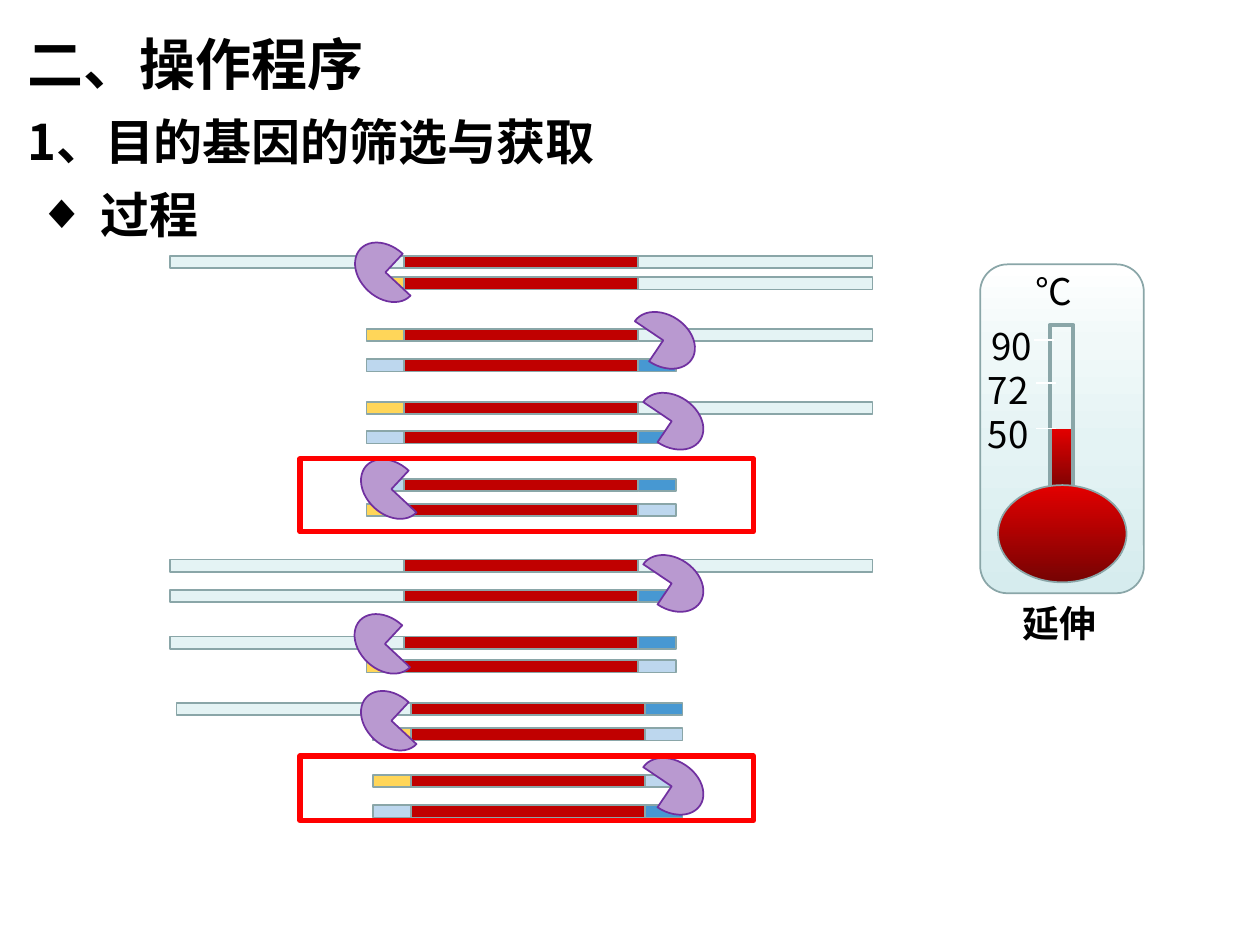
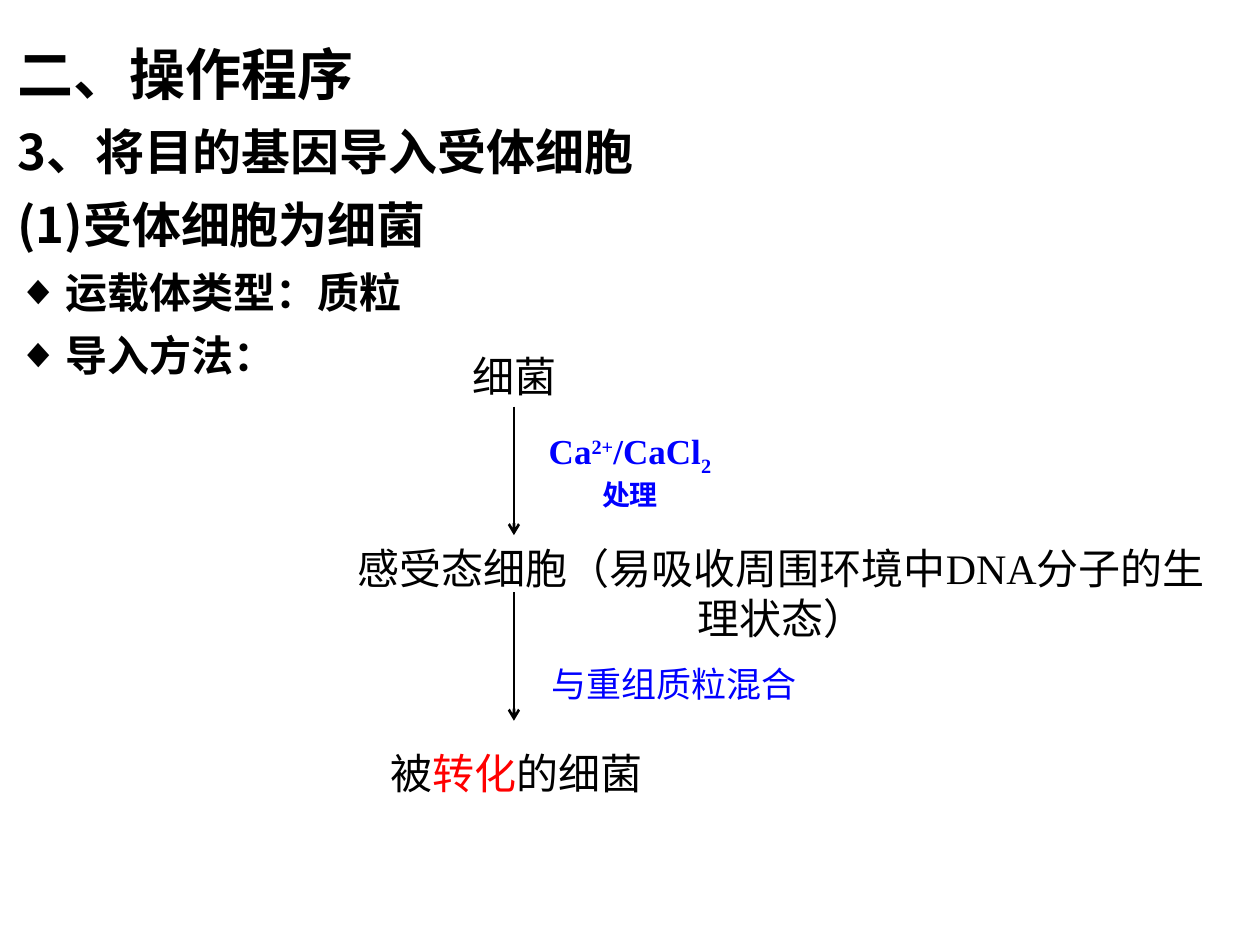
from lxml import etree
from pptx import Presentation
from pptx.dml.color import RGBColor
from pptx.enum.shapes import MSO_CONNECTOR as CONN, MSO_SHAPE as SHAPE
from pptx.enum.text import PP_ALIGN as ALIGN
from pptx.oxml.ns import qn
from pptx.util import Cm, Pt

BLACK = RGBColor(0, 0, 0)
WHITE = RGBColor(255, 255, 255)
RED = RGBColor(255, 0, 0)
BLUE = RGBColor(0, 0, 255)
GENE = RGBColor(0xC0, 0, 0)
PALE = RGBColor(0xE4, 0xF3, 0xF4)
YELLOW = RGBColor(0xFF, 0xD6, 0x59)
SKY = RGBColor(0xBD, 0xD7, 0xEE)
AZURE = RGBColor(0x47, 0x98, 0xD2)
OUTLINE = RGBColor(0x8A, 0xA6, 0xA8)
ENZYME = RGBColor(0xB9, 0x99, 0xD0)
PURPLE = RGBColor(0x70, 0x30, 0xA0)
GLASS = [(0, WHITE), (24, RGBColor(0xF1, 0xF9, 0xF9)), (55, PALE), (100, RGBColor(0xD6, 0xEC, 0xEE))]
MERCURY = [(0, RGBColor(0xE3, 0, 0)), (100, RGBColor(0x76, 0x03, 0x03))]

SANS = "Noto Sans CJK SC"
SERIF = "Times New Roman"
SECTION = "二、操作程序"
GENE_X, GENE_W, END_W, BAR_H = 8.15, 4.72, 0.76, 0.25


def sub(parent, tag, **attrs):
    return etree.SubElement(parent, qn(tag), **attrs)


class Deck:
    def __init__(self):
        self.prs = Presentation()
        self.prs.slide_width, self.prs.slide_height = Cm(25.4), Cm(19.05)
        self.slide = None

    def new_slide(self):
        self.slide = self.prs.slides.add_slide(self.prs.slide_layouts[6])

    def shape(self, kind, x, y, w, h, fill=None, line=OUTLINE, width=1, rotation=0):
        sp = self.slide.shapes.add_shape(kind, Cm(x), Cm(y), Cm(w), Cm(h))
        sp.shadow.inherit = False
        sp.rotation = rotation
        if fill is None:
            sp.fill.background()
        elif isinstance(fill, list):
            self.gradient(sp, fill)
        else:
            sp.fill.solid()
            sp.fill.fore_color.rgb = fill
        if line is None:
            sp.line.fill.background()
        else:
            sp.line.color.rgb = line
            sp.line.width = Pt(width)

    def gradient(self, sp, stops):
        sp.fill.gradient()
        sp.fill.gradient_angle = 270
        stop_list = sp._element.spPr.find(qn("a:gradFill")).find(qn("a:gsLst"))
        for old in list(stop_list):
            stop_list.remove(old)
        for percent, color in stops:
            stop = sub(stop_list, "a:gs", pos=str(percent * 1000))
            sub(stop, "a:srgbClr", val=str(color))

    def line(self, x1, y1, x2, y2, color, width, arrow=False):
        c = self.slide.shapes.add_connector(CONN.STRAIGHT, Cm(x1), Cm(y1), Cm(x2), Cm(y2))
        c.line.color.rgb = color
        c.line.width = Pt(width)
        if arrow:
            sub(c.line._get_or_add_ln(), "a:tailEnd", type="arrow")
        sub(c._element.spPr, "a:effectLst")

    def text(self, x, y, w, h, lines, sizes, font=SANS, color=BLACK, bold=False,
             align=ALIGN.LEFT, spacing=None, inset=(0.25, 0.13), bullets_from=None, indent=0.97):
        tf = self.slide.shapes.add_textbox(Cm(x), Cm(y), Cm(w), Cm(h)).text_frame
        tf.word_wrap = True
        tf.margin_left = tf.margin_right = Cm(inset[0])
        tf.margin_top = tf.margin_bottom = Cm(inset[1])
        for i, (parts, size) in enumerate(zip(lines, sizes)):
            p = tf.paragraphs[0] if i == 0 else tf.add_paragraph()
            if isinstance(parts, str):
                p.text = parts
            else:
                for part in parts:
                    p.add_run().text = part
            p.alignment = align
            if spacing:
                p.line_spacing = spacing
            if bullets_from is not None and i >= bullets_from:
                self.bullet(p, indent)
            for r in p.runs:
                r.font.name = font
                r.font.size = Pt(size)
                r.font.bold = bold
                r.font.color.rgb = color
                sub(r._r.get_or_add_rPr(), "a:ea", typeface=SANS)
        return tf

    def bullet(self, p, indent):
        pPr = p._p.get_or_add_pPr()
        pPr.set("marL", str(Cm(indent)))
        pPr.set("indent", str(-Cm(indent)))
        sub(pPr, "a:buFont", typeface="Arial")
        sub(pPr, "a:buChar", char="◆")

    def strand(self, y, left, right, shift=0):
        x = GENE_X + shift
        left_w, right_w = (GENE_W if c == PALE else END_W for c in (left, right))
        for bar_x, w, color in ((x - left_w, left_w, left), (x, GENE_W, GENE),
                                (x + GENE_W, right_w, right)):
            self.shape(SHAPE.RECTANGLE, bar_x, y, w, BAR_H, color)

    def polymerase(self, x, y, rotation):
        self.shape(SHAPE.PIE, x, y, 1.38, 1.02, ENZYME, PURPLE, rotation=rotation)

    def thermometer(self):
        self.shape(SHAPE.ROUNDED_RECTANGLE, 19.76, 5.33, 3.3, 6.63, GLASS)
        self.shape(SHAPE.RECTANGLE, 21.16, 8.64, 0.48, 1.3, MERCURY, None)
        self.shape(SHAPE.RECTANGLE, 21.16, 6.55, 0.48, 4.17, width=2.25)
        self.shape(SHAPE.OVAL, 20.12, 9.78, 2.59, 1.96, MERCURY)
        for x, y, w, label in ((19.84, 6.45, 1.32, "90"), (19.76, 7.34, 1.27, "72"),
                               (19.76, 8.23, 1.27, "50"), (20.73, 5.33, 1.52, "℃")):
            self.text(x, y, w, 1.04, [label], [21], inset=(0.15, 0.08))
        for x, y in ((20.85, 6.86), (20.88, 7.72), (20.88, 8.64)):
            self.line(x + 0.4, y, x, y, WHITE, 1)
        self.text(20.47, 12.04, 2.39, 1.04, ["延伸"], [21], "Arial", bold=True, inset=(0.15, 0.08))


def pcr_slide(d):
    d.new_slide()
    for y, left, right in ((5.16, PALE, PALE), (5.59, YELLOW, PALE),
                           (6.63, YELLOW, PALE), (7.24, SKY, AZURE),
                           (8.1, YELLOW, PALE), (8.69, SKY, AZURE),
                           (9.65, SKY, AZURE), (10.16, YELLOW, SKY),
                           (11.28, PALE, PALE), (11.89, PALE, AZURE),
                           (12.83, PALE, AZURE), (13.31, YELLOW, SKY),
                           (14.17, PALE, AZURE), (14.68, YELLOW, SKY),
                           (15.62, YELLOW, SKY), (16.23, SKY, AZURE)):
        d.strand(y, left, right, 0.13 if y > 14 else 0)
    d.thermometer()
    for x, y in ((7.08, 4.98), (7.2, 9.35), (7.07, 12.47), (7.2, 14.02)):
        d.polymerase(x, y, 43)
    for x, y in ((12.68, 6.35), (12.85, 7.98), (12.85, 11.25), (12.85, 15.34)):
        d.polymerase(x, y, 214)
    for y, h in ((9.25, 1.47), (15.24, 1.3)):
        d.shape(SHAPE.RECTANGLE, 6.05, y, 9.14, h, line=RED, width=3)
    d.text(0.3, 0.13, 12.7, 3.45, [SECTION, "1、目的基因的筛选与获取"], [32, 28],
           bold=True, spacing=1.25)
    d.text(0.51, 3.58, 12.7, 1.45, ["过程"], [28], bold=True, bullets_from=0, indent=1.27)


def transformation_slide(d):
    d.new_slide()
    d.text(0.1, 0.33, 18.26, 4.52,
           [SECTION, "3、将目的基因导入受体细胞", "(1)受体细胞为细菌", "运载体类型：质粒", "导入方法："],
           [32, 28, 28, 24, 24], bold=True, spacing=1.25, bullets_from=3)
    d.text(6.1, 6.93, 8.53, 1.27, ["细菌"], [24], align=ALIGN.CENTER)
    tf = d.text(10.11, 8.53, 5.18, 1.8, [("Ca", "2+", "/CaCl", "2"), "处理"], [20, 16],
                SERIF, BLUE, True, ALIGN.CENTER)
    for index, baseline in ((1, 30000), (3, -25000)):
        tf.paragraphs[0].runs[index]._r.get_or_add_rPr().set("baseline", str(baseline))
    d.text(6.91, 10.8, 17.68, 2.31, ["感受态细胞（易吸收周围环境中DNA分子的生理状态）"], [24],
           SERIF, align=ALIGN.CENTER)
    tf = d.text(6.2, 14.94, 8.43, 1.27, [("被", "转化", "的细菌")], [24], SERIF, align=ALIGN.CENTER)
    tf.paragraphs[0].runs[1].font.color.rgb = RED
    d.text(10.49, 13.23, 6.2, 1.27, ["与重组质粒混合"], [20], SERIF, BLUE, align=ALIGN.CENTER)
    for y in (8.2, 11.94):
        d.line(10.36, y, 10.36, y + 2.59, BLACK, 1.5, arrow=True)


def main():
    d = Deck()
    pcr_slide(d)
    transformation_slide(d)
    d.prs.save("out.pptx")


if __name__ == "__main__":
    main()
